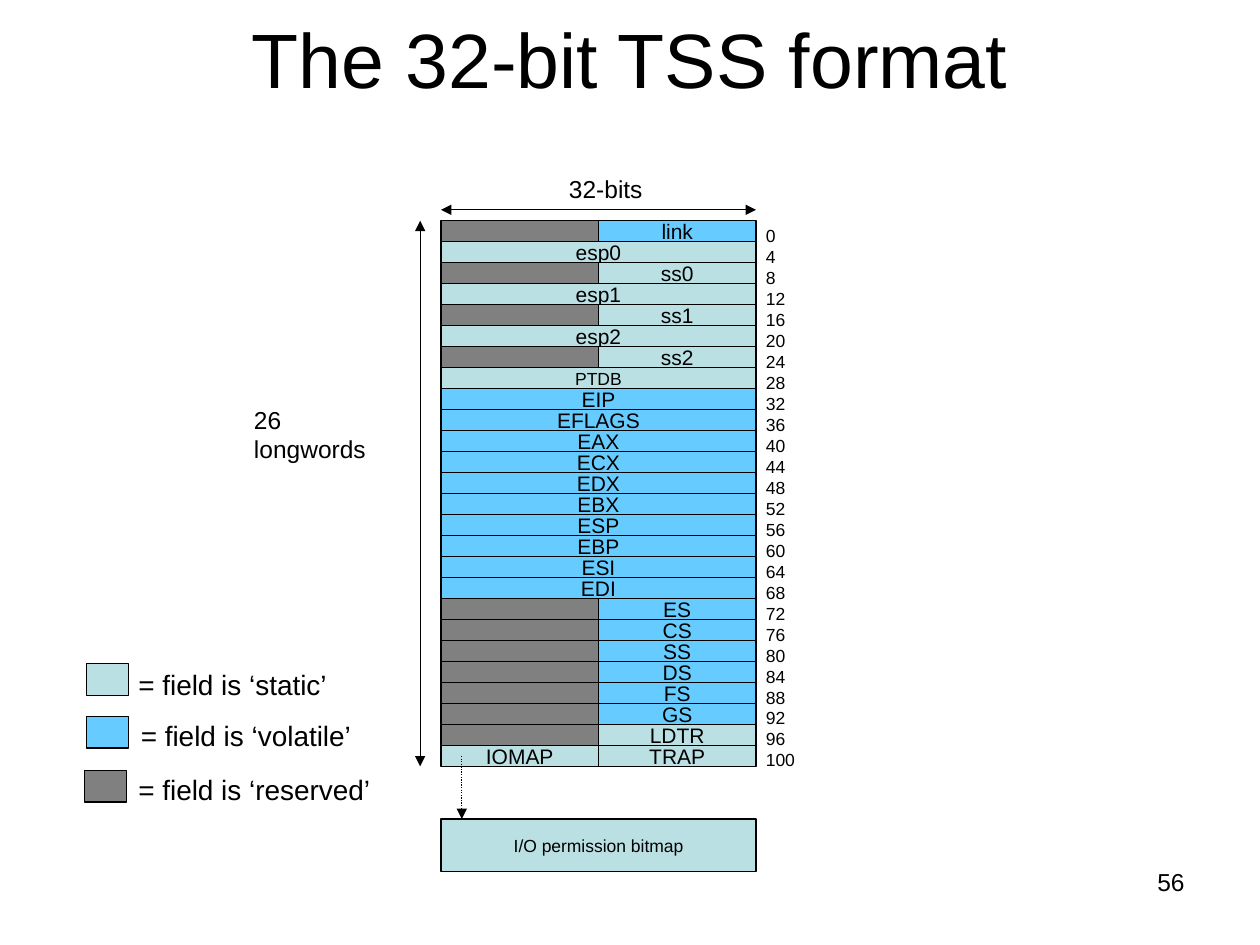
from dataclasses import dataclass

from lxml.etree import SubElement
from pptx import Presentation
from pptx.dml.color import RGBColor
from pptx.enum.dml import MSO_LINE
from pptx.enum.shapes import MSO_CONNECTOR, MSO_SHAPE
from pptx.enum.text import MSO_ANCHOR, MSO_AUTO_SIZE, PP_ALIGN
from pptx.oxml.ns import qn
from pptx.util import Cm, Pt


@dataclass(frozen=True)
class Theme:
    """Colours, font and type sizes of the slide."""
    ink: RGBColor = RGBColor(0, 0, 0)
    static: RGBColor = RGBColor(0xBB, 0xE0, 0xE3)
    volatile: RGBColor = RGBColor(0x66, 0xCC, 0xFF)
    reserved: RGBColor = RGBColor(0x80, 0x80, 0x80)
    font: str = "Arial"
    title: int = 44
    legend: int = 16
    label: int = 14
    field: int = 12
    small: int = 10
    line: float = 0.75


THEME = Theme()
LEFT, TOP, WIDTH, HEIGHT = 8.89, 4.45, 6.35, 11
HALF = WIDTH / 2

FULL = "esp0 esp1 esp2 PTDB EIP EFLAGS EAX ECX EDX EBX ESP EBP ESI EDI".split()
FIELDS = (
    "link esp0 ss0 esp1 ss1 esp2 ss2 PTDB EIP EFLAGS EAX ECX EDX EBX "
    "ESP EBP ESI EDI ES CS SS DS FS GS LDTR TRAP"
).split()
STATIC = "esp0 ss0 esp1 ss1 esp2 ss2 PTDB LDTR TRAP".split()
ROW = HEIGHT / len(FIELDS)

LEGEND = [
    ("static", 1.74, 13.38, 2.54, 13.33, 4.32),
    ("volatile", 1.74, 14.44, 2.59, 14.37, 4.8),
    ("reserved", 1.7, 15.53, 2.54, 15.44, 5.3),
]


def style(para, size, align=PP_ALIGN.LEFT):
    """Set the font and alignment of a paragraph."""
    para.alignment = align
    para.font.name = THEME.font
    para.font.size = Pt(size)
    para.font.color.rgb = THEME.ink


def add_box(slide, x, y, w, h, fill, text="", size=THEME.field):
    """Add an outlined rectangle with centred text."""
    box = slide.shapes.add_shape(MSO_SHAPE.RECTANGLE, Cm(x), Cm(y), Cm(w), Cm(h))
    box.shadow.inherit = False
    box.fill.solid()
    box.fill.fore_color.rgb = fill
    box.line.color.rgb = THEME.ink
    box.line.width = Pt(THEME.line)
    if text:
        frame = box.text_frame
        frame.margin_top = frame.margin_bottom = 0
        frame.vertical_anchor = MSO_ANCHOR.MIDDLE
        frame.word_wrap = False
        frame.text = text
        style(frame.paragraphs[0], size, PP_ALIGN.CENTER)


def add_label(slide, x, y, w, h, text, size, wrap=False, align=PP_ALIGN.LEFT):
    """Add a text box and return its paragraphs."""
    frame = slide.shapes.add_textbox(Cm(x), Cm(y), Cm(w), Cm(h)).text_frame
    frame.word_wrap = wrap
    if not wrap:
        frame.auto_size = MSO_AUTO_SIZE.SHAPE_TO_FIT_TEXT
    frame.text = text
    for para in frame.paragraphs:
        style(para, size, align)
    return frame.paragraphs


def add_arrow(slide, start, end, both=True, dash=None):
    """Add a line with a head at its end, or at both ends."""
    arrow = slide.shapes.add_connector(
        MSO_CONNECTOR.STRAIGHT, *map(Cm, start), *map(Cm, end)
    )
    arrow.line.color.rgb = THEME.ink
    arrow.line.width = Pt(THEME.line)
    if dash:
        arrow.line.dash_style = dash
    props = arrow.element.spPr
    line = props.find(qn("a:ln"))
    for tag in ("a:headEnd", "a:tailEnd") if both else ("a:tailEnd",):
        SubElement(line, qn(tag), type="triangle")
    SubElement(props, qn("a:effectLst"))


def add_title(slide, text):
    """Place and format the title."""
    title = slide.shapes.title
    title.left, title.top = Cm(1.27), Cm(-0.43)
    title.width, title.height = Cm(22.86), Cm(3.18)
    title.text_frame.text = text
    title.text_frame.vertical_anchor = MSO_ANCHOR.MIDDLE
    style(title.text_frame.paragraphs[0], THEME.title, PP_ALIGN.CENTER)


def add_fields(slide):
    """Stack the fields of the segment, one longword a row."""
    for row, name in enumerate(FIELDS):
        y = TOP + row * ROW
        fill = THEME.static if name in STATIC else THEME.volatile
        size = THEME.small if name == "PTDB" else THEME.field
        if name in FULL:
            add_box(slide, LEFT, y, WIDTH, ROW, fill, name, size)
            continue
        if name == "TRAP":
            add_box(slide, LEFT, y, HALF, ROW, THEME.static, "IOMAP")
        else:
            add_box(slide, LEFT, y, HALF, ROW, THEME.reserved)
        add_box(slide, LEFT + HALF, y, HALF, ROW, fill, name, size)


def add_scale(slide):
    """Add the byte offsets and the size arrows."""
    marks = "\n".join(str(4 * row) for row in range(len(FIELDS)))
    for para in add_label(slide, 15.19, 4.41, 1.1, 11.25, marks, THEME.small):
        para.line_spacing = Pt(12)
    add_arrow(slide, (8.47, TOP + HEIGHT), (8.47, TOP))
    add_label(slide, 4.87, 8.04, 3.4, 1.4, "26 longwords", THEME.label, wrap=True)
    add_arrow(slide, (LEFT, 4.23), (LEFT + WIDTH, 4.23))
    add_label(slide, 11.22, 3.39, 2.1, 0.85, "32-bits", THEME.label)


def add_legend(slide):
    """Explain the fill colours."""
    for kind, x, y, left, top, width in LEGEND:
        add_box(slide, x, y, 0.85, 0.64, getattr(THEME, kind))
        add_label(slide, left, top, width, 0.93, f"= field is ‘{kind}’", THEME.legend)


def main():
    """Build the slide and save it."""
    deck = Presentation()
    deck.slide_width, deck.slide_height = Cm(25.4), Cm(19.05)
    slide = deck.slides.add_slide(deck.slide_layouts[5])
    add_title(slide, "The 32-bit TSS format")
    add_fields(slide)
    add_box(slide, LEFT, 16.51, WIDTH, 1.06, THEME.static,
            "I/O permission bitmap", THEME.small)
    add_arrow(slide, (9.31, 15.24), (9.31, 16.51), both=False,
              dash=MSO_LINE.ROUND_DOT)
    add_legend(slide)
    add_scale(slide)
    add_label(slide, 18.2, 17.36, 5.93, 1.32, "56", THEME.label,
              wrap=True, align=PP_ALIGN.RIGHT)
    deck.save("out.pptx")


if __name__ == "__main__":
    main()
